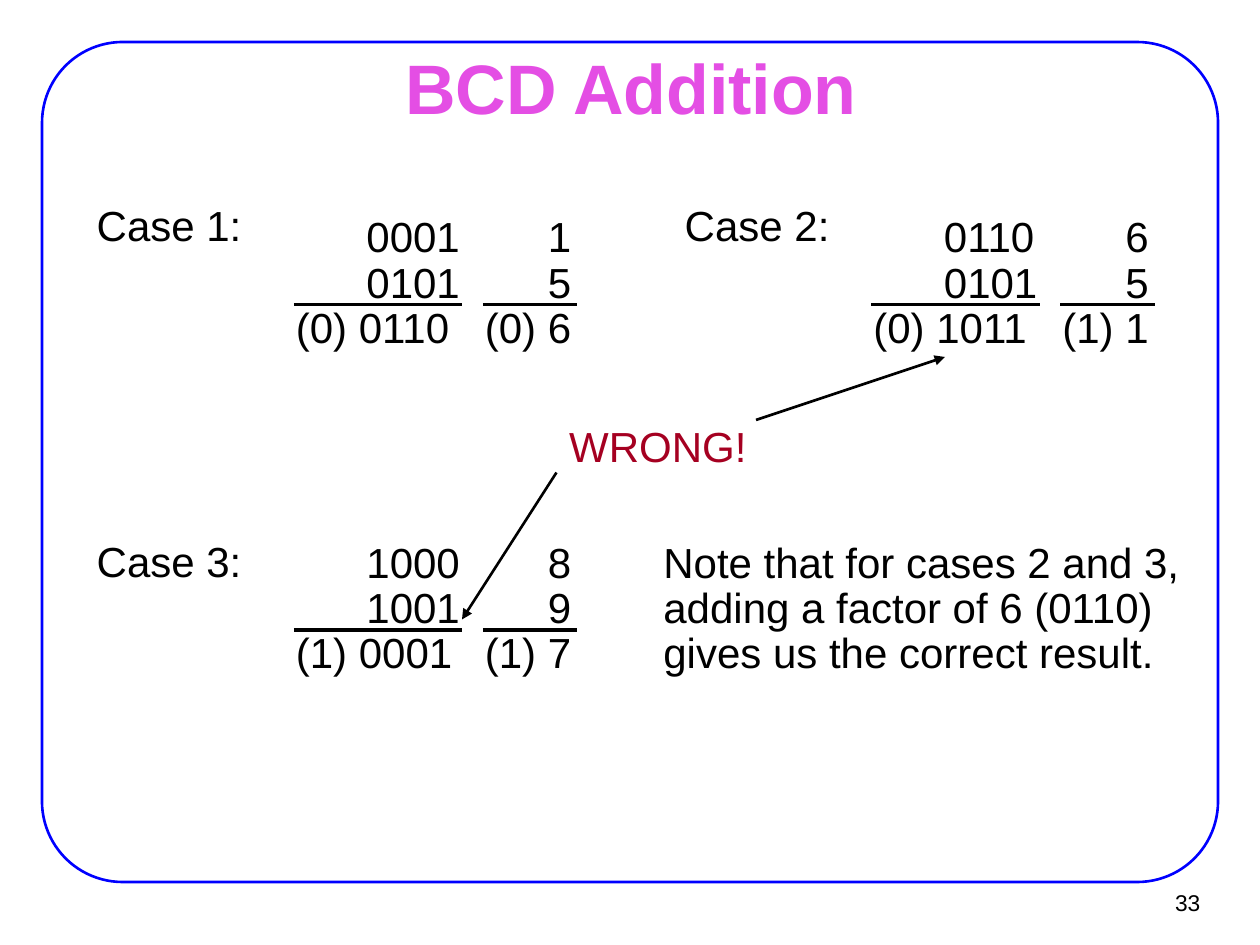
import pptx
import pptx.util
import pptx.dml.color
import pptx.enum.shapes
import pptx.enum.text
import pptx.oxml.ns
import lxml.etree

COLUMNS, ROWS = 120, 90
WIDTH, HEIGHT = pptx.util.Inches(10), pptx.util.Inches(7.5)
BLACK = pptx.dml.color.RGBColor(0x00, 0x00, 0x00)
BLUE = pptx.dml.color.RGBColor(0x00, 0x00, 0xFF)
PINK = pptx.dml.color.RGBColor(0xE4, 0x4E, 0xE4)
RED = pptx.dml.color.RGBColor(0xA5, 0x00, 0x21)
ALIGN = pptx.enum.text.PP_ALIGN
MIDDLE = pptx.enum.text.MSO_ANCHOR.MIDDLE
CASES = [
    ("Case 1:", (8, 19), (27, 20), ["\t0001\t1", "\t0101\t5", "(0) 0110\t(0) 6"]),
    ("Case 2:", (64, 19), (82, 20), ["\t0110\t6", "\t0101\t5", "(0) 1011\t(1) 1"]),
    ("Case 3:", (8, 51), (27, 51), ["\t1000\t8", "\t1001\t9", "(1) 0001\t(1) 7"]),
]
DIGIT_TABS = (0.56, 2)
RESULT_TABS = (1.5,)


def grid(*lengths):
    steps = (WIDTH / COLUMNS, HEIGHT / ROWS)
    return [round(length * steps[i % 2]) for i, length in enumerate(lengths)]


def add_tabs(paragraph, stops):
    qn = pptx.oxml.ns.qn
    tab_list = lxml.etree.SubElement(paragraph._p.get_or_add_pPr(), qn("a:tabLst"))
    for stop in stops:
        lxml.etree.SubElement(tab_list, qn("a:tab"), pos=str(pptx.util.Inches(stop)), algn="l")


def style(paragraph, size, color, align, bold=False):
    paragraph.alignment = align
    for run in paragraph.runs:
        run.font.name = "Arial"
        run.font.size = pptx.util.Pt(size)
        run.font.bold = bold
        run.font.color.rgb = color


def add_text(slide, box, text, align=ALIGN.LEFT, wrap=True, size=24, color=BLACK, tabs=()):
    frame = slide.shapes.add_textbox(*grid(*box)).text_frame
    frame.text = text
    frame.word_wrap = wrap
    frame.vertical_anchor = MIDDLE
    for index, paragraph in enumerate(frame.paragraphs):
        paragraph.line_spacing = 0.9
        if tabs:
            add_tabs(paragraph, tabs[index])
        style(paragraph, size, color, align)
    return frame


def add_line(slide, start, end, weight, arrow=False):
    line = slide.shapes.add_connector(
        pptx.enum.shapes.MSO_CONNECTOR.STRAIGHT, *grid(*start, *end))
    line.line.color.rgb = BLACK
    line.line.width = pptx.util.Pt(weight)
    qn = pptx.oxml.ns.qn
    if arrow:
        lxml.etree.SubElement(line.line._get_or_add_ln(), qn("a:tailEnd"), type="triangle")
    lxml.etree.SubElement(line._element.spPr, qn("a:effectLst"))


def add_frame(slide, box):
    border = slide.shapes.add_shape(
        pptx.enum.shapes.MSO_SHAPE.ROUNDED_RECTANGLE, *grid(*box))
    border.adjustments[0] = 0.096
    border.shadow.inherit = False
    border.fill.background()
    border.line.color.rgb = BLUE
    border.line.width = pptx.util.Pt(1.5)


def add_title(slide, box):
    title = slide.shapes.title
    title.left, title.top, title.width, title.height = grid(*box)
    title.text_frame.text = "BCD Addition"
    title.text_frame.auto_size = pptx.enum.text.MSO_AUTO_SIZE.NONE
    title.text_frame.vertical_anchor = MIDDLE
    style(title.text_frame.paragraphs[0], 40, PINK, ALIGN.CENTER, bold=True)


def add_case(slide, name, label_corner, sum_corner, rows):
    add_text(slide, (*label_corner, 16.2, 5.5), name, ALIGN.CENTER, wrap=False)
    add_text(slide, (*sum_corner, 28.9, 14.2), "\n".join(rows),
             tabs=(DIGIT_TABS, DIGIT_TABS, RESULT_TABS))
    left, top = sum_corner
    for start, end in ((1, 17), (19, 28)):
        add_line(slide, (left + start, 29 if top == 20 else 60),
                 (left + end, 29 if top == 20 else 60), 2.25)


def add_warning(slide, box):
    left, top, width, height = box
    add_text(slide, box, "WRONG!", ALIGN.CENTER, wrap=False, color=RED)
    add_line(slide, (left + 19, top), (left + 37, top - 6), 1.5, arrow=True)
    add_line(slide, (left, top + 5), (left - 9, top + 19), 1.5, arrow=True)


def main():
    deck = pptx.Presentation()
    deck.slide_width, deck.slide_height = WIDTH, HEIGHT
    slide = deck.slides.add_slide(deck.slide_layouts[5])
    add_frame(slide, (4, 4, 112, 80))
    add_title(slide, (9.1, 5.3, 102, 5.9))
    for case in CASES:
        add_case(slide, *case)
    add_warning(slide, (53, 40, 19.3, 5.5))
    add_text(slide, (62, 51, 52, 14.2),
             "Note that for cases 2 and 3, adding a factor of 6 (0110) "
             "gives us the correct result.")
    add_text(slide, (108.2, 83.9, 7.3, 4.4), "33", ALIGN.RIGHT, wrap=False, size=13)
    deck.save("out.pptx")


if __name__ == "__main__":
    main()
